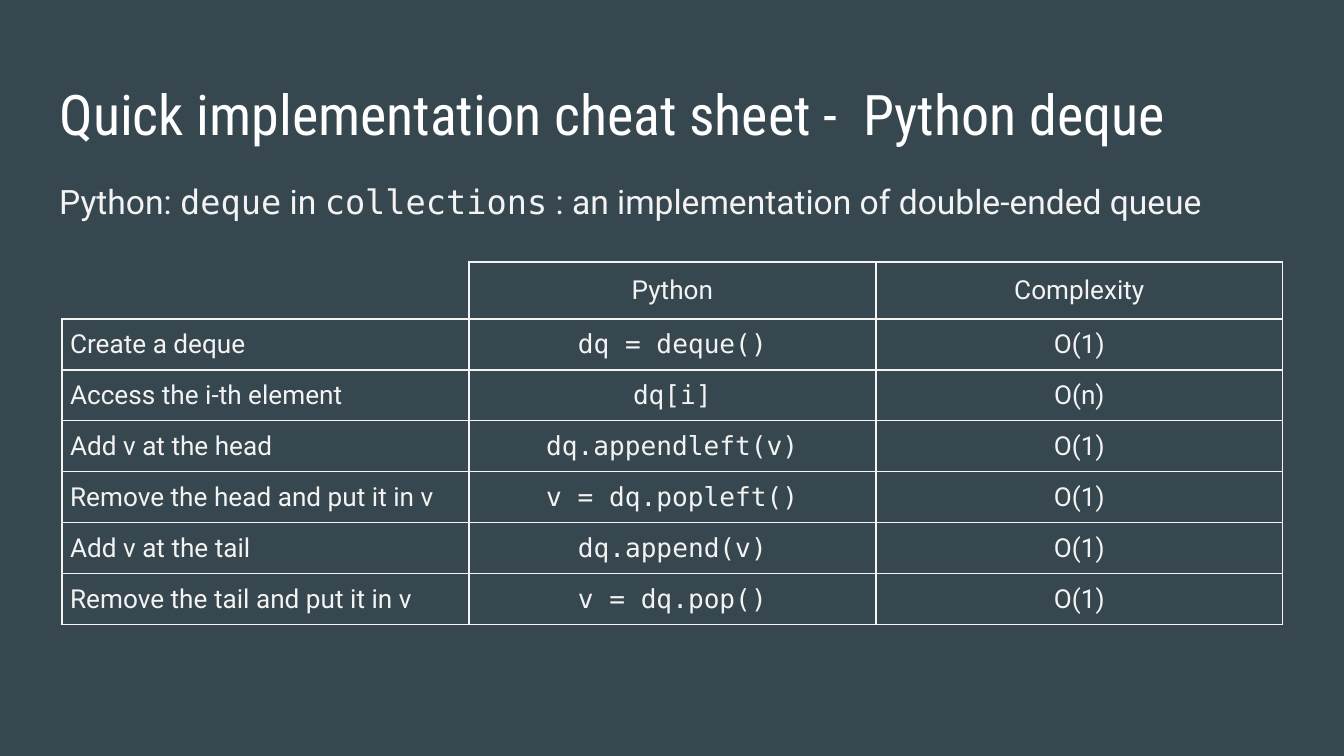
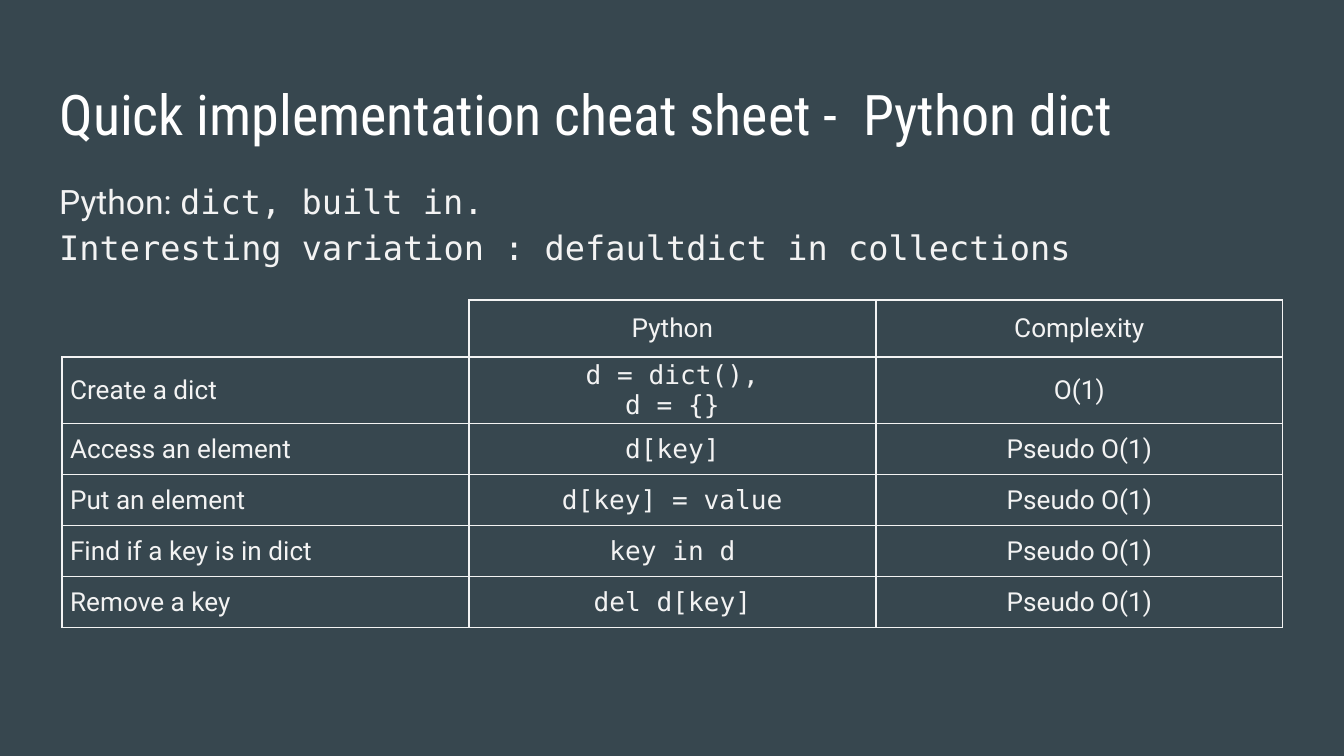
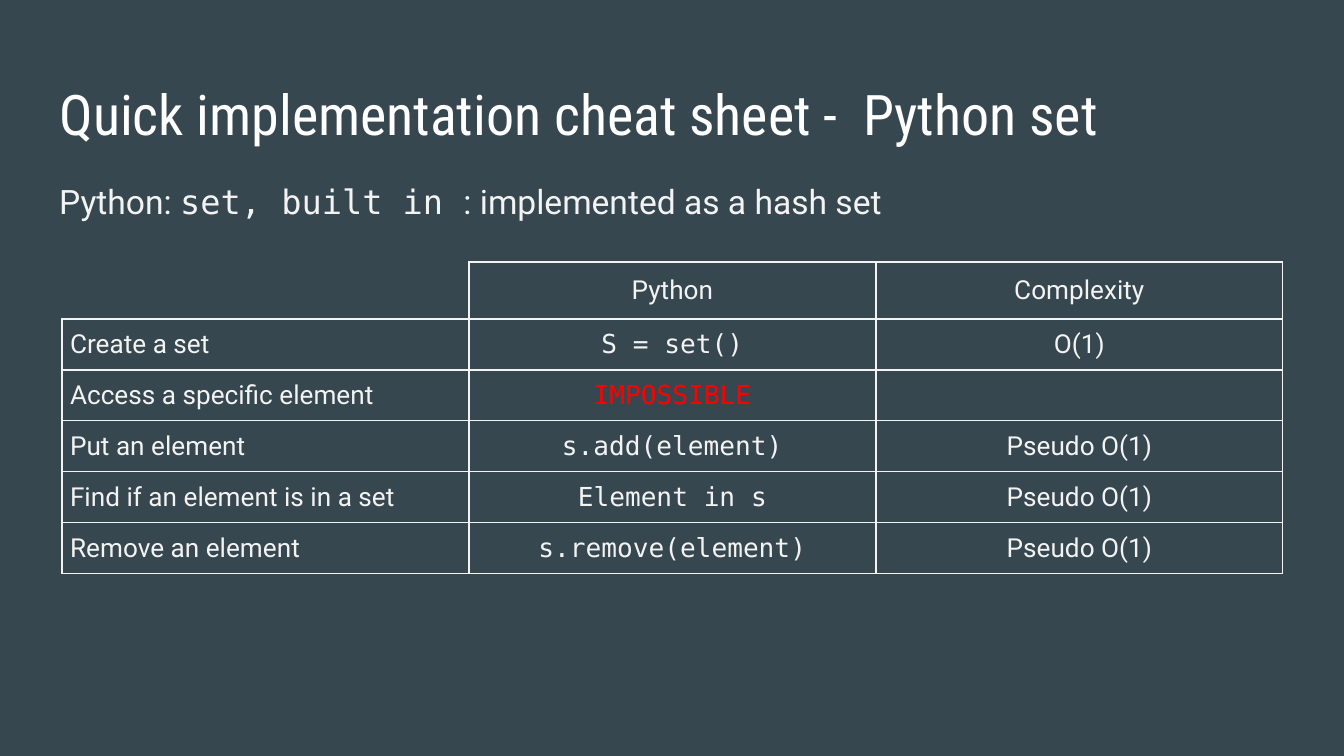
from lxml import etree
from pptx import Presentation
from pptx import util as u
from pptx.dml import color
from pptx.enum import text
from pptx.oxml import ns

PX = 914400 / 134.4
BACKGROUND, WHITE, LIGHT, RED = "37474F", "FFFFFF", "F3F3F3", "FF0000"
TITLE_FONT, BODY_FONT, CODE_FONT = "Roboto Condensed", "Roboto", "DejaVu Sans Mono"
TITLE_BOX = (46, 66, 1253, 85)
SUBTITLE_BOX = (46, 161, 1236, 125)
TABLE_LEFT, COLUMN_WIDTH, HEADER_HEIGHT, ROW_HEIGHT = 62, 407, 57, 51
IMPOSSIBLE = "IMPOSSIBLE"
HEADER = ("", "Python", "Complexity")

CHEAT_SHEETS = [
    {
        "name": "deque",
        "subtitle": [[
            ("Python: ", BODY_FONT), ("deque", CODE_FONT), (" in ", BODY_FONT),
            ("collections", CODE_FONT),
            (" : an implementation of double-ended queue", BODY_FONT),
        ]],
        "table_top": 262,
        "rows": [
            ("Create a deque", "dq = deque()", "O(1)"),
            ("Access the i-th element", "dq[i]", "O(n)"),
            ("Add v at the head", "dq.appendleft(v)", "O(1)"),
            ("Remove the head and put it in v", "v = dq.popleft()", "O(1)"),
            ("Add v at the tail", "dq.append(v)", "O(1)"),
            ("Remove the tail and put it in v", "v = dq.pop()", "O(1)"),
        ],
    },
    {
        "name": "dict",
        "subtitle": [
            [("Python: ", BODY_FONT), ("dict, built in.", CODE_FONT)],
            [("Interesting variation : defaultdict in collections", CODE_FONT)],
        ],
        "table_top": 300,
        "rows": [
            ("Create a dict", "d = dict(),\nd = {}", "O(1)"),
            ("Access an element", "d[key]", "Pseudo O(1)"),
            ("Put an element", "d[key] = value", "Pseudo O(1)"),
            ("Find if a key is in dict", "key in d", "Pseudo O(1)"),
            ("Remove a key", "del d[key]", "Pseudo O(1)"),
        ],
    },
    {
        "name": "set",
        "subtitle": [[
            ("Python: ", BODY_FONT), ("set, built in ", CODE_FONT),
            (": implemented as a hash set", BODY_FONT),
        ]],
        "table_top": 262,
        "rows": [
            ("Create a set", "S = set()", "O(1)"),
            ("Access a specific element", IMPOSSIBLE, ""),
            ("Put an element", "s.add(element)", "Pseudo O(1)"),
            ("Find if an element is in a set", "Element in s", "Pseudo O(1)"),
            ("Remove an element", "s.remove(element)", "Pseudo O(1)"),
        ],
    },
]


def px(length):
    return u.Emu(round(length * PX))


def rgb(hex_string):
    return color.RGBColor.from_string(hex_string)


def set_font(font, name, size, hex_string):
    font.name = name
    font.size = u.Pt(size)
    font.color.rgb = rgb(hex_string)


def set_frame(frame):
    frame.word_wrap = True
    frame.auto_size = text.MSO_AUTO_SIZE.NONE
    frame.vertical_anchor = text.MSO_ANCHOR.TOP
    frame.margin_left = frame.margin_right = u.Inches(0.1)
    frame.margin_top = frame.margin_bottom = u.Inches(0.1)


def add_title(slide, box, name):
    title = slide.shapes.title
    title.left, title.top, title.width, title.height = map(px, box)
    set_frame(title.text_frame)
    title.text_frame.text = f"Quick implementation cheat sheet -  Python {name}"
    paragraph = title.text_frame.paragraphs[0]
    paragraph.alignment = text.PP_ALIGN.LEFT
    set_font(paragraph.font, TITLE_FONT, 30, WHITE)


def add_subtitle(slide, box, lines):
    frame = slide.shapes.add_textbox(*map(px, box)).text_frame
    set_frame(frame)
    for index, pieces in enumerate(lines):
        paragraph = frame.add_paragraph() if index else frame.paragraphs[0]
        paragraph.line_spacing = 1.15
        for wording, font_name in pieces:
            run = paragraph.add_run()
            run.text = wording
            set_font(run.font, font_name, 18, LIGHT)


def set_borders(cell, visible_sides):
    properties = cell._tc.get_or_add_tcPr()
    for index, side in enumerate("LRTB"):
        line = etree.Element(ns.qn(f"a:ln{side}"), w=str(u.Pt(0.75)))
        if side in visible_sides:
            fill = etree.SubElement(line, ns.qn("a:solidFill"))
            etree.SubElement(fill, ns.qn("a:srgbClr"), val=LIGHT)
        else:
            etree.SubElement(line, ns.qn("a:noFill"))
        properties.insert(index, line)


def fill_cell(cell, wording, row_index, column_index):
    is_code = row_index > 0 and column_index == 1
    is_label = column_index == 0
    cell.fill.background()
    cell.vertical_anchor = text.MSO_ANCHOR.MIDDLE
    cell.margin_left = cell.margin_right = u.Inches(0.06)
    cell.margin_top = cell.margin_bottom = u.Inches(0.02)
    cell.text = wording
    for paragraph in cell.text_frame.paragraphs:
        paragraph.alignment = text.PP_ALIGN.LEFT if is_label else text.PP_ALIGN.CENTER
        set_font(paragraph.font, CODE_FONT if is_code else BODY_FONT, 14,
                 RED if wording == IMPOSSIBLE else LIGHT)
    set_borders(cell, "RB" if row_index == column_index == 0 else "LRTB")


def add_operations_table(slide, left, top, operations):
    rows = [HEADER, *operations]
    heights = [HEADER_HEIGHT] + [ROW_HEIGHT] * len(operations)
    table = slide.shapes.add_table(
        len(rows), len(HEADER), px(left), px(top),
        px(COLUMN_WIDTH * len(HEADER)), px(sum(heights))).table
    table.first_row = table.horz_banding = False
    for column in table.columns:
        column.width = px(COLUMN_WIDTH)
    for row_index, (row, height) in enumerate(zip(rows, heights)):
        table.rows[row_index].height = px(height)
        for column_index, wording in enumerate(row):
            fill_cell(table.cell(row_index, column_index), wording, row_index, column_index)


def add_cheat_sheet(presentation, sheet):
    slide = presentation.slides.add_slide(presentation.slide_layouts.get_by_name("Title Only"))
    add_title(slide, TITLE_BOX, sheet["name"])
    add_subtitle(slide, SUBTITLE_BOX, sheet["subtitle"])
    add_operations_table(slide, TABLE_LEFT, sheet["table_top"], sheet["rows"])


def main():
    presentation = Presentation()
    presentation.slide_width, presentation.slide_height = px(1344), px(756)
    background = presentation.slide_master.background.fill
    background.solid()
    background.fore_color.rgb = rgb(BACKGROUND)
    for sheet in CHEAT_SHEETS:
        add_cheat_sheet(presentation, sheet)
    presentation.save("out.pptx")


if __name__ == "__main__":
    main()
